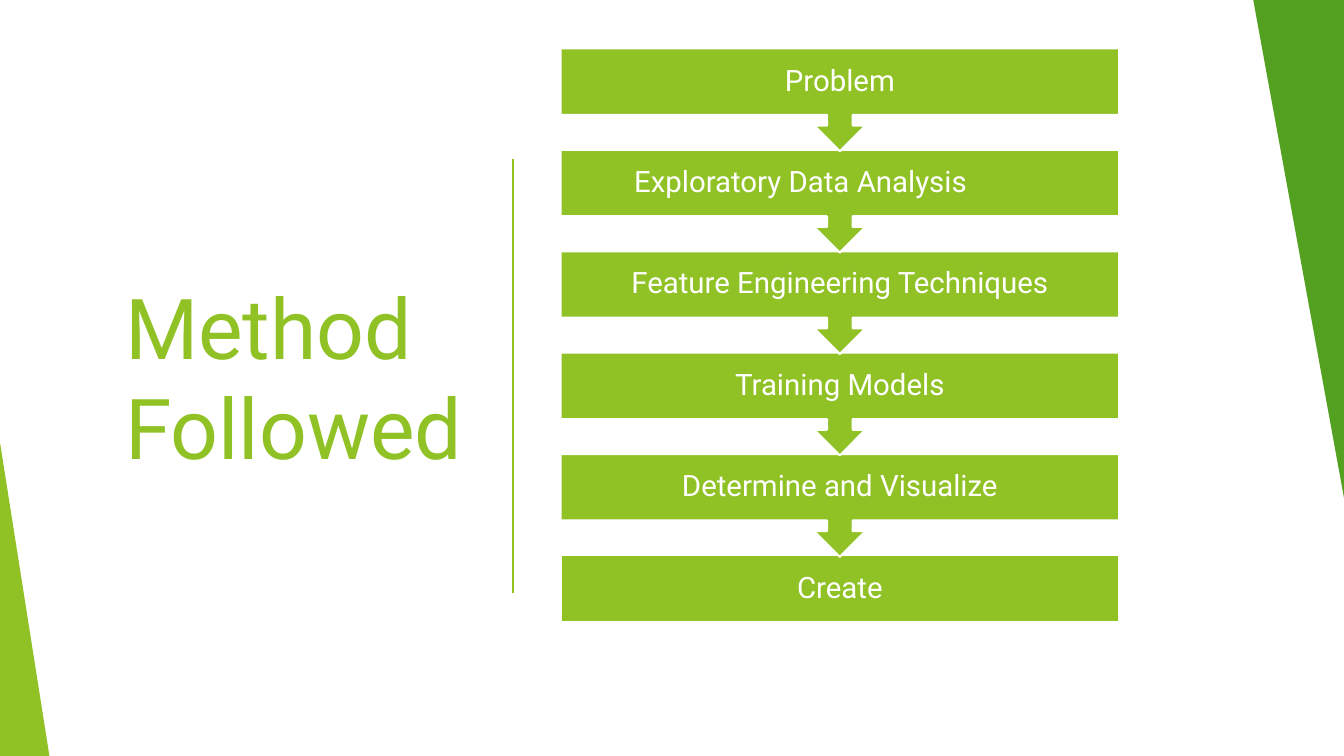
"""Build the Method Followed slide: a title beside a six-step downward flow."""
from pptx import Presentation
from pptx.dml.color import RGBColor
from pptx.enum.shapes import MSO_CONNECTOR, MSO_SHAPE as SHAPE
from pptx.enum.text import MSO_ANCHOR, MSO_AUTO_SIZE, PP_ALIGN
from pptx.oxml.ns import qn
from pptx.util import Inches, Pt
from lxml.etree import SubElement

TITLE = "Method Followed"
STEPS = [
    "Problem",
    "Exploratory Data Analysis",
    "Feature Engineering Techniques",
    "Training Models",
    "Determine and Visualize",
    "Create",
]
SHIFTED_STEP = "Exploratory Data Analysis"
COLORS = {"lime": "90C226", "green": "54A021", "white": "FFFFFF"}
FONT = "Roboto"

FLOW_LEFT, FLOW_TOP, FLOW_WIDTH = 5.56, 0.48, 5.54
STEP_PITCH, BOX_HEIGHT, CALLOUT_HEIGHT = 1.006, 0.66, 1.02
INSET, SHIFT_INSET = 0.16, 0.94


def color(name):
    return RGBColor.from_string(COLORS[name])


def add_filled(slide, kind, bounds, fill):
    shape = slide.shapes.add_shape(kind, *map(Inches, bounds))
    shape.shadow.inherit = False
    shape.fill.solid()
    shape.fill.fore_color.rgb = color(fill)
    shape.line.fill.background()
    return shape


def add_corner(slide, bounds, fill, rotation=0):
    corner = add_filled(slide, SHAPE.ISOSCELES_TRIANGLE, bounds, fill)
    corner.adjustments[0] = 0
    corner.rotation = rotation


def format_text(frame, size, fill, align):
    frame.word_wrap = True
    frame.auto_size = MSO_AUTO_SIZE.NONE
    frame.vertical_anchor = MSO_ANCHOR.MIDDLE
    para = frame.paragraphs[0]
    para.alignment = align
    font = para.runs[0].font
    font.name, font.size, font.color.rgb = FONT, Pt(size), color(fill)
    return para


def add_title(slide):
    title = slide.shapes.title
    title.left, title.top, title.width, title.height = map(Inches, (1.14, 1.29, 3.61, 4.88))
    title.text_frame.text = TITLE
    format_text(title.text_frame, 60, "lime", PP_ALIGN.LEFT)


def add_divider(slide):
    ends = map(Inches, (5.09, 1.58, 5.09, 5.88))
    divider = slide.shapes.add_connector(MSO_CONNECTOR.STRAIGHT, *ends)
    divider.line.color.rgb = color("lime")
    divider.line.width = Pt(1)
    SubElement(divider.element.spPr, qn("a:effectLst"))


def add_step(slide, index, label):
    is_last = index == len(STEPS) - 1
    kind = SHAPE.RECTANGLE if is_last else SHAPE.DOWN_ARROW_CALLOUT
    height = BOX_HEIGHT if is_last else CALLOUT_HEIGHT
    top = FLOW_TOP + index * STEP_PITCH
    box = add_filled(slide, kind, (FLOW_LEFT, top, FLOW_WIDTH, height), "lime")
    if not is_last:
        box.adjustments[3] = BOX_HEIGHT / CALLOUT_HEIGHT
    box.line.color.rgb = color("white")
    box.line.width = Pt(1.5)

    frame = box.text_frame
    frame.text = label
    frame.margin_left = frame.margin_top = frame.margin_bottom = Inches(INSET)
    frame.margin_right = Inches(SHIFT_INSET if label == SHIFTED_STEP else INSET)
    para = format_text(frame, 21, "white", PP_ALIGN.CENTER)
    para.line_spacing = 0.9


def main():
    deck = Presentation()
    deck.slide_width, deck.slide_height = Inches(13.33), Inches(7.5)
    slide = deck.slides.add_slide(deck.slide_layouts[5])
    add_title(slide)
    add_corner(slide, (0, 4.39, 0.49, 3.11), "lime")
    add_divider(slide)
    for index, label in reversed(list(enumerate(STEPS))):
        add_step(slide, index, label)
    add_corner(slide, (12.43, 0, 0.92, 5.05), "green", rotation=180)
    deck.save("out.pptx")


if __name__ == "__main__":
    main()
